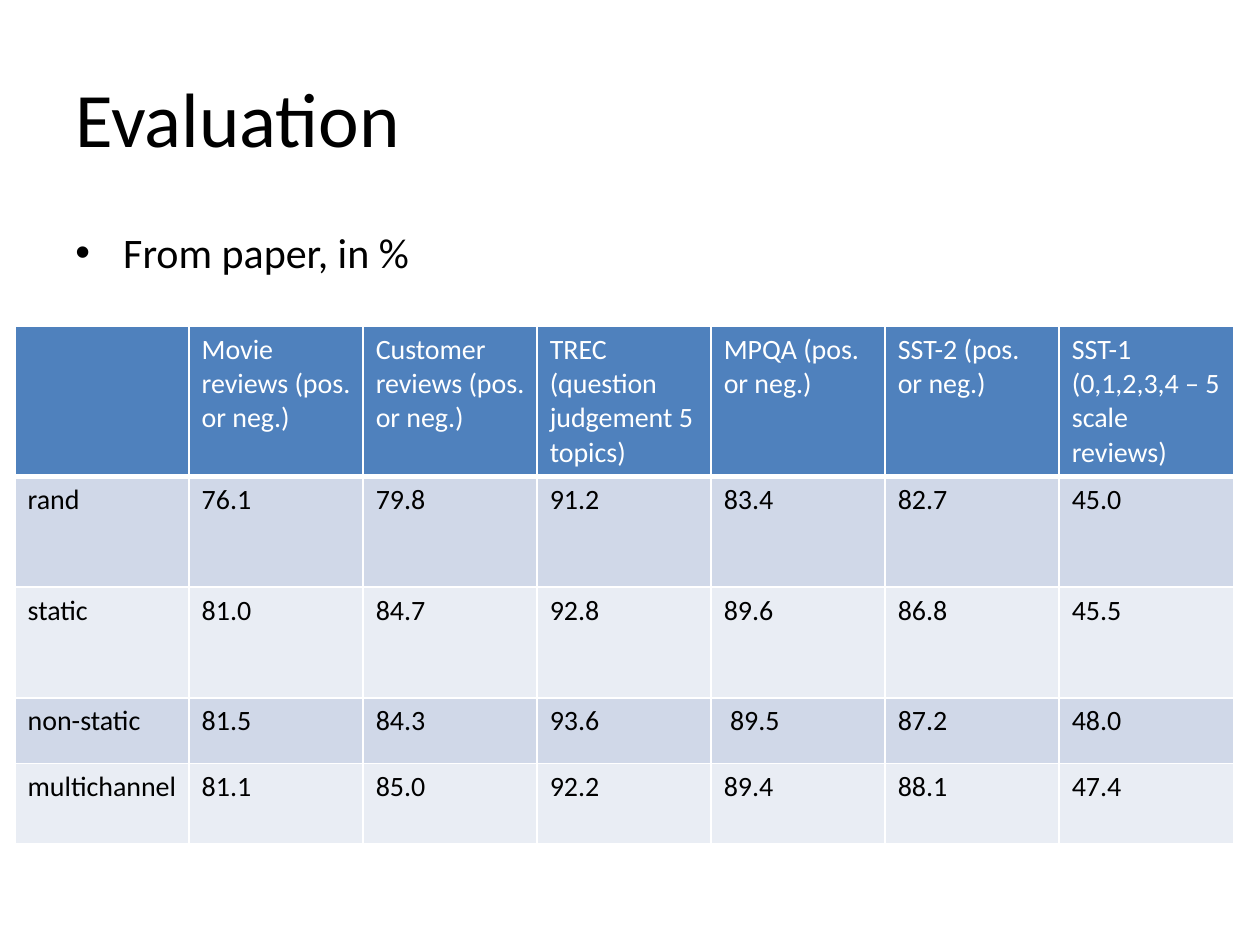
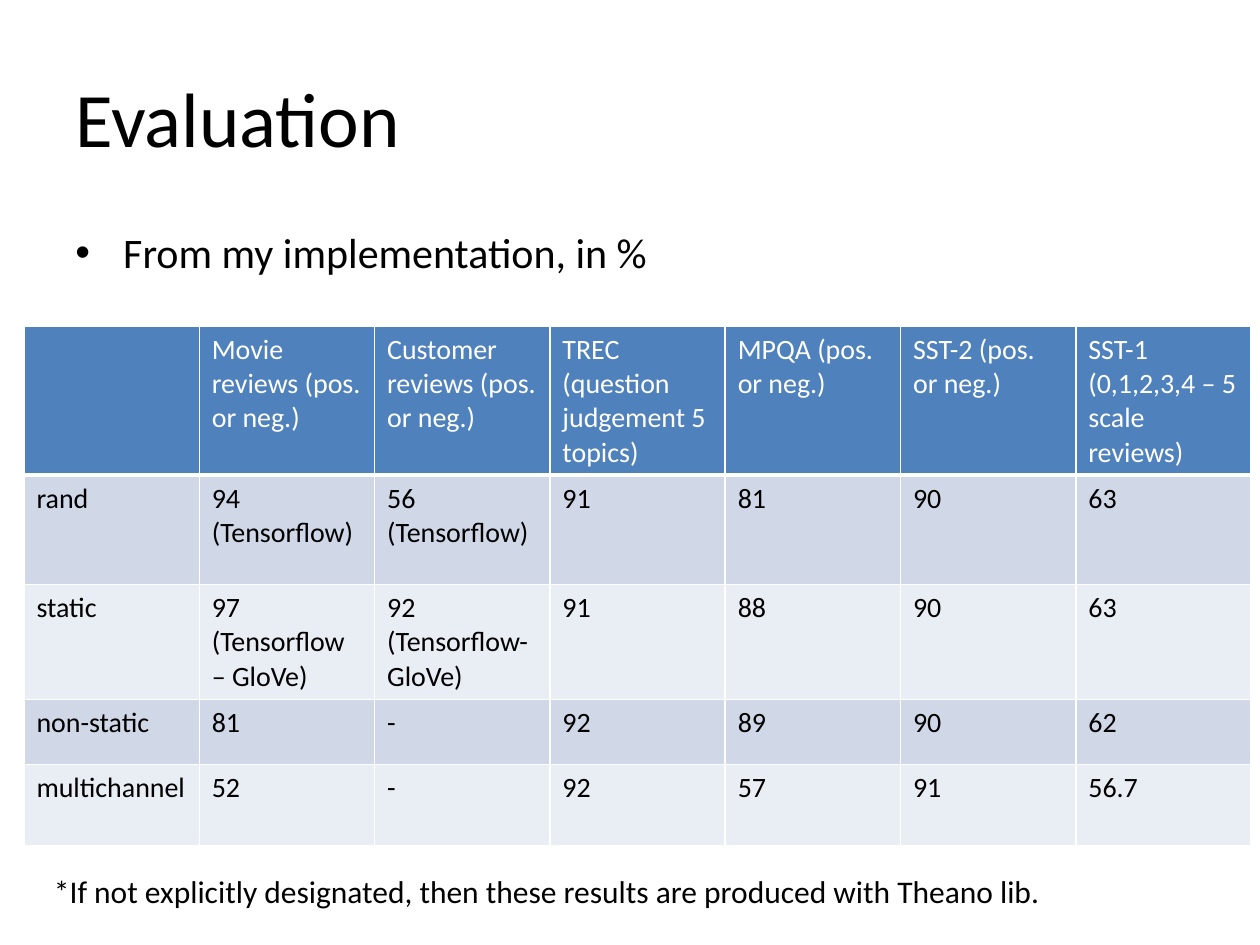
from lxml import etree
from pptx import Presentation
from pptx.dml.color import RGBColor
from pptx.enum.text import MSO_ANCHOR
from pptx.oxml.ns import qn
from pptx.util import Inches, Pt

# Shared style
FONT = "Calibri"
BLACK = RGBColor(0x00, 0x00, 0x00)
WHITE = RGBColor(0xFF, 0xFF, 0xFF)
HEADER_BLUE = RGBColor(0x4F, 0x81, 0xBD)
BANDS = (RGBColor(0xD0, 0xD8, 0xE8), RGBColor(0xE9, 0xED, 0xF4))
ANCHOR_TOP = MSO_ANCHOR.TOP
ANCHOR_MIDDLE = MSO_ANCHOR.MIDDLE
TABLE_TOP = 2.59

# Table content: a line break starts a new paragraph
DATASETS = [
    "",
    "Movie reviews (pos. or neg.)",
    "Customer reviews (pos. or neg.)",
    "TREC (question judgement 5 topics)",
    "MPQA (pos. or neg.)",
    "SST-2 (pos. or neg.)",
    "SST-1\n(0,1,2,3,4 – 5 scale reviews)",
]
PAPER_RESULTS = [
    ["rand", "76.1", "79.8", "91.2", "83.4", "82.7", "45.0"],
    ["static", "81.0", "84.7", "92.8", "89.6", "86.8", "45.5"],
    ["non-static", "81.5", "84.3", "93.6", " 89.5", "87.2", "48.0"],
    ["multichannel", "81.1", "85.0", "92.2", "89.4", "88.1", "47.4"],
]
MY_RESULTS = [
    ["rand", "94\n(Tensorflow)", "56\n(Tensorflow)", "91", "81", "90", "63"],
    ["static", "97\n(Tensorflow – GloVe)", "92\n(Tensorflow-GloVe)",
     "91", "88", "90", "63"],
    ["non-static", "81", "-", "92", "89", "90", "62"],
    ["multichannel", "52", "-", "92", "57", "91", "56.7"],
]


def add_run(paragraph, text, size, color=BLACK):
    run = paragraph.add_run()
    run.text = text
    run.font.name = FONT
    run.font.size = Pt(size)
    run.font.color.rgb = color


def add_text(slide, text, left, top, width, height, size,
             anchor=ANCHOR_TOP, wrap=True):
    box = slide.shapes.add_textbox(Inches(left), Inches(top),
                                   Inches(width), Inches(height))
    frame = box.text_frame
    frame.word_wrap = wrap
    frame.vertical_anchor = anchor
    paragraph = frame.paragraphs[0]
    add_run(paragraph, text, size)
    return paragraph


def add_bullet(paragraph, indent):
    properties = paragraph._p.get_or_add_pPr()
    properties.set("marL", str(Inches(indent)))
    properties.set("indent", str(-Inches(indent)))
    etree.SubElement(properties, qn("a:buFont"), typeface="Arial")
    etree.SubElement(properties, qn("a:buChar"), char="•")


def add_borders(cell, bottom_width):
    properties = cell._tc.get_or_add_tcPr()
    widths = {"a:lnL": 1, "a:lnR": 1, "a:lnT": 1, "a:lnB": bottom_width}
    for side, width in widths.items():
        line = etree.SubElement(properties, qn(side), w=str(Pt(width)))
        fill = etree.SubElement(line, qn("a:solidFill"))
        etree.SubElement(fill, qn("a:srgbClr"), val=str(WHITE))


def fill_cell(cell, text, background, color, bottom_width):
    add_borders(cell, bottom_width)
    cell.fill.solid()
    cell.fill.fore_color.rgb = background
    frame = cell.text_frame
    for index, line in enumerate(text.split("\n")):
        paragraph = frame.add_paragraph() if index else frame.paragraphs[0]
        if line:
            add_run(paragraph, line, 16, color)


def add_results_table(slide, results, left, width, row_heights):
    rows = [DATASETS] + results
    table = slide.shapes.add_table(
        len(rows), len(DATASETS), Inches(left), Inches(TABLE_TOP),
        Inches(width), Inches(sum(row_heights))).table
    for column in table.columns:
        column.width = Inches(width / len(DATASETS))
    for row_index, texts in enumerate(rows):
        table.rows[row_index].height = Inches(row_heights[row_index])
        if row_index == 0:
            style = (HEADER_BLUE, WHITE, 3)
        else:
            style = (BANDS[(row_index - 1) % 2], BLACK, 1)
        for column_index, text in enumerate(texts):
            fill_cell(table.cell(row_index, column_index), text, *style)


def add_evaluation_slide(presentation, subtitle, results, left, width,
                         row_heights):
    slide = presentation.slides.add_slide(presentation.slide_layouts[6])
    add_text(slide, "Evaluation", 0.5, 0.3, 9, 1.25, 44, ANCHOR_MIDDLE)
    paragraph = add_text(slide, subtitle, 0.5, 1.75, 9, 4.95, 24)
    paragraph.space_before = Pt(4.8)
    add_bullet(paragraph, 0.38)
    add_results_table(slide, results, left, width, row_heights)
    return slide


def main():
    presentation = Presentation()
    presentation.slide_width = Inches(10)
    presentation.slide_height = Inches(7.5)

    # Published results
    add_evaluation_slide(presentation, "From paper, in %", PAPER_RESULTS,
                         0.12, 9.67, [1.19, 0.88, 0.88, 0.52, 0.64])

    # Reproduced results, with a footnote
    slide = add_evaluation_slide(
        presentation, "From my implementation, in %", MY_RESULTS,
        0.19, 9.74, [1.18, 0.87, 0.91, 0.52, 0.64])
    add_text(slide, "*If not explicitly designated, then these results are "
             "produced with Theano lib.", 0.33, 6.87, 8.07, 0.4, 18,
             wrap=False)

    presentation.save("out.pptx")


if __name__ == "__main__":
    main()
